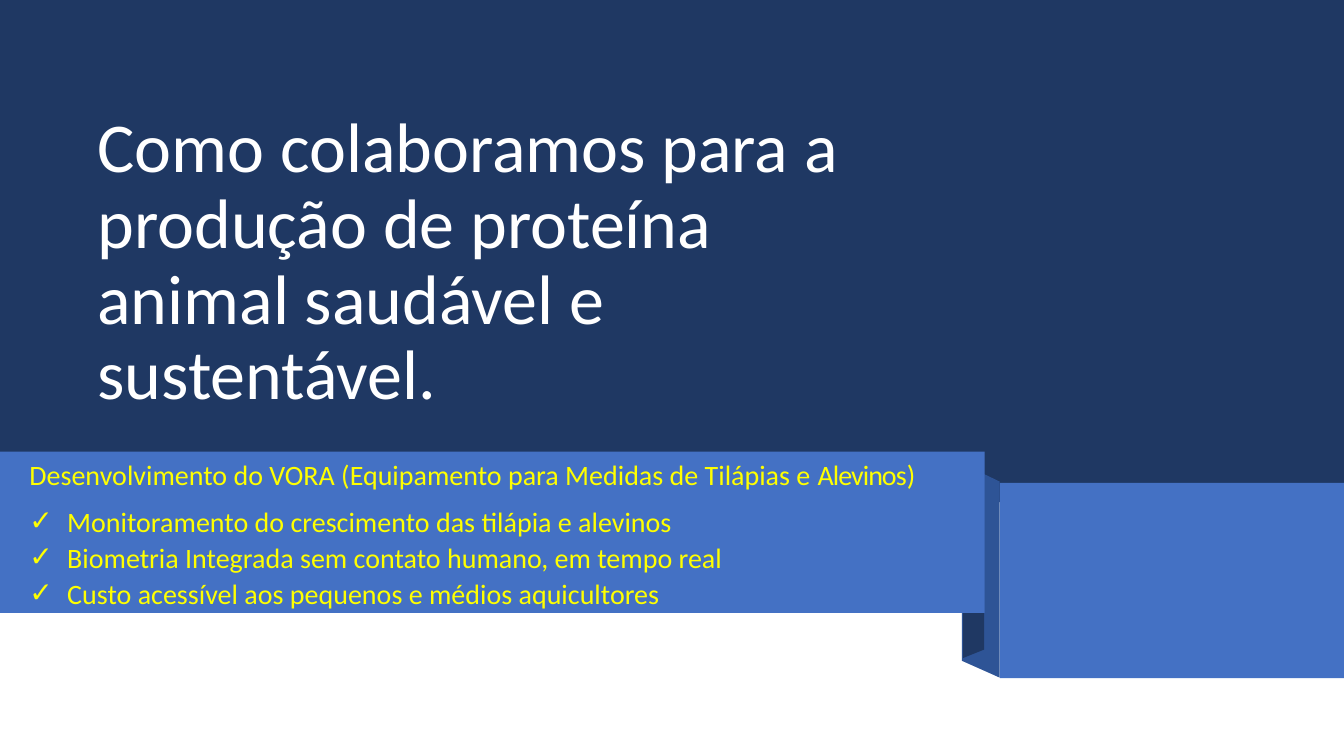
from lxml import etree
from pptx import Presentation
from pptx.dml.color import RGBColor
from pptx.enum.shapes import MSO_SHAPE
from pptx.enum.text import MSO_ANCHOR, MSO_AUTO_SIZE, PP_ALIGN
from pptx.oxml.ns import qn
from pptx.util import Pt

RECTANGLE = MSO_SHAPE.RECTANGLE
TOP = MSO_ANCHOR.TOP
LEFT = PP_ALIGN.LEFT
NO_AUTOFIT = MSO_AUTO_SIZE.NONE

FONT = "Calibri"
COLORS = {
    "navy": "1F3863",
    "fold": "2E5496",
    "blue": "4471C4",
    "white": "FFFFFF",
    "yellow": "FFFF00",
}
WIDTH, HEIGHT = 960, 540
BAND_TOP, BAND_WIDTH, BAND_HEIGHT = 322.6, 703.4, 115.2
PANEL_LEFT, PANEL_TOP = 714.2, 344.9

TITLE = "Como colaboramos para a produção de proteína animal saudável e sustentável."
HEADING = ["Desenvolvimento do VORA (Equipamento para Medidas de Tilápias e ", "Alevinos", ")"]
BENEFITS = [
    "Monitoramento do crescimento das tilápia e alevinos",
    "Biometria Integrada sem contato humano, em tempo real",
    "Custo acessível aos pequenos e médios aquicultores",
]


def paint(shape, color):
    shape.fill.solid()
    shape.fill.fore_color.rgb = RGBColor.from_string(COLORS[color])
    shape.line.fill.background()


def add_rectangle(slide, left, top, width, height, color):
    shape = slide.shapes.add_shape(RECTANGLE, Pt(left), Pt(top), Pt(width), Pt(height))
    shape.shadow.inherit = False
    paint(shape, color)


def add_polygon(slide, points, color):
    builder = slide.shapes.build_freeform(*points[0], scale=Pt(1))
    builder.add_line_segments(points[1:], close=True)
    shape = builder.convert_to_shape()
    shape.shadow.inherit = False
    paint(shape, color)


def place_placeholder(slide, placeholder, left, top, width, height, inset_top):
    """Move a placeholder to its box and in front of what is drawn so far."""
    slide.shapes._spTree.append(placeholder._element)
    placeholder.left, placeholder.top = Pt(left), Pt(top)
    placeholder.width, placeholder.height = Pt(width), Pt(height)
    frame = placeholder.text_frame
    frame.word_wrap = True
    frame.auto_size = NO_AUTOFIT
    frame.vertical_anchor = TOP
    frame.margin_left = frame.margin_right = frame.margin_bottom = 0
    frame.margin_top = Pt(inset_top)
    return frame


def format_paragraph(paragraph, size, color, space_before):
    paragraph.alignment = LEFT
    paragraph.space_before = Pt(space_before)
    for run in paragraph.runs:
        run.font.name = FONT
        run.font.size = Pt(size)
        run.font.color.rgb = RGBColor.from_string(COLORS[color])


def set_bullet(paragraph, margin, indent=0, character=None):
    properties = paragraph._p.get_or_add_pPr()
    properties.set("marL", str(Pt(margin)))
    properties.set("indent", str(Pt(indent)))
    if character:
        etree.SubElement(properties, qn("a:buChar")).set("char", character)
    else:
        etree.SubElement(properties, qn("a:buNone"))


def add_title(slide):
    frame = place_placeholder(slide, slide.shapes.title, 69.5, 72, 582, 170, 7.5)
    frame.text = TITLE
    paragraph = frame.paragraphs[0]
    format_paragraph(paragraph, 50, "white", 7.8)
    paragraph.line_spacing = Pt(54)


def add_ribbon(slide):
    add_polygon(slide, [(687, 331), (687, 471.5), (714.2, 484), (714.2, 344)], "fold")
    add_polygon(slide, [(BAND_WIDTH, BAND_TOP), (687.6, 330), (687.6, 470.5),
                        (BAND_WIDTH, 463.5)], "navy")
    add_rectangle(slide, PANEL_LEFT, PANEL_TOP, WIDTH - PANEL_LEFT, 139.5, "blue")


def add_benefits(slide):
    body = slide.placeholders[1]
    frame = place_placeholder(slide, body, 0, BAND_TOP, BAND_WIDTH, BAND_HEIGHT, 4.3)
    paint(body, "blue")

    heading = frame.paragraphs[0]
    for text in HEADING:
        heading.add_run().text = text
    format_paragraph(heading, 20, "yellow", 4)
    heading.runs[1].font._element.set("spc", "-70")
    set_bullet(heading, 21)

    for index, text in enumerate(BENEFITS):
        paragraph = frame.add_paragraph()
        paragraph.text = text
        format_paragraph(paragraph, 20, "yellow", 1.7 if index else 9.4)
        set_bullet(paragraph, 48, -27, "✓")


def main():
    presentation = Presentation()
    presentation.slide_width, presentation.slide_height = Pt(WIDTH), Pt(HEIGHT)
    slide = presentation.slides.add_slide(presentation.slide_layouts[1])
    add_rectangle(slide, 0, 0, WIDTH, 358.6, "navy")
    add_title(slide)
    add_ribbon(slide)
    add_benefits(slide)
    presentation.save("out.pptx")


if __name__ == "__main__":
    main()
